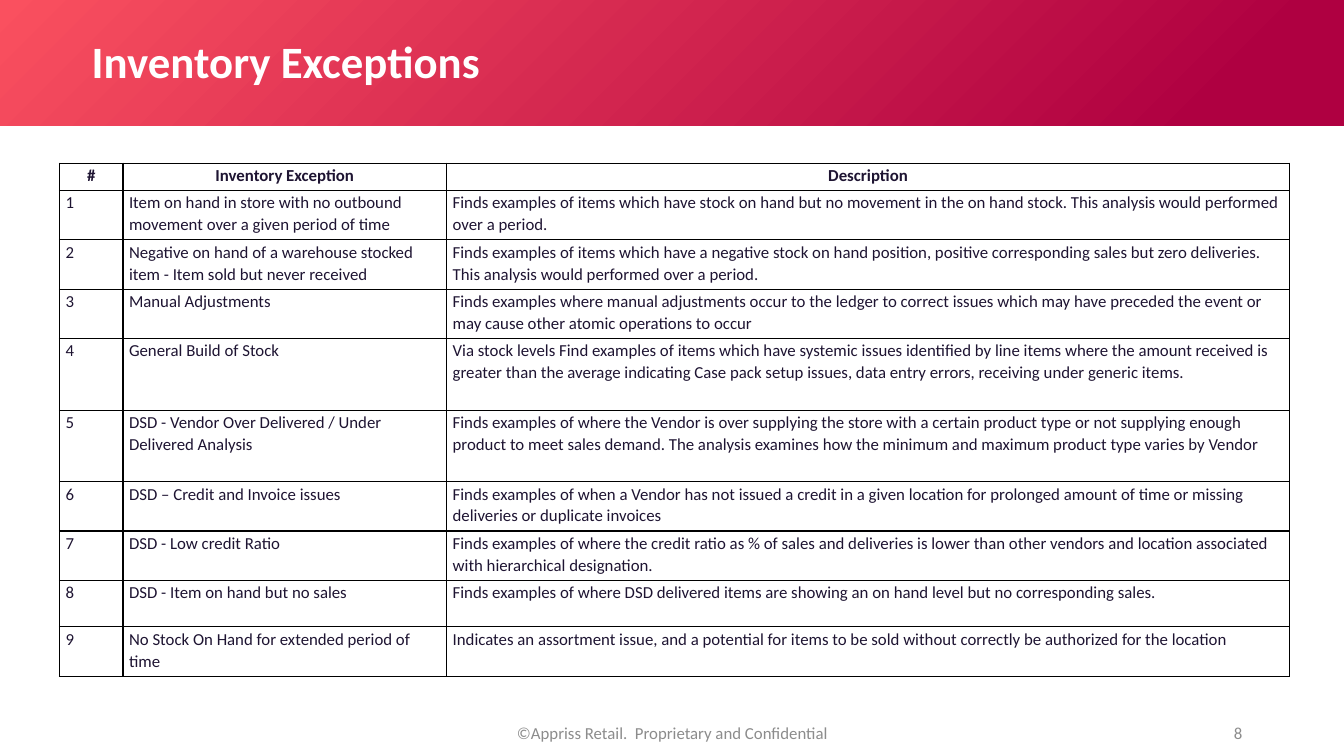
from typing import NamedTuple

import pptx
import pptx.dml.color
import pptx.enum.text
import pptx.oxml
import pptx.oxml.ns
import pptx.util

Inches = pptx.util.Inches
Align = pptx.enum.text.PP_ALIGN
Anchor = pptx.enum.text.MSO_ANCHOR

COLORS = {
    "crimson": "AF0041",
    "coral": "FA505F",
    "white": "FFFFFF",
    "ink": "1E1432",
    "gray": "8C8C8C",
    "border": "000000",
}
FONT = "Calibri"


class InventoryException(NamedTuple):
    name: str
    description: str
    height: float


class FooterItem(NamedTuple):
    text: str
    left: float
    width: float
    align: Align


EXCEPTIONS = [
    InventoryException(
        "Item on hand in store with no outbound movement over a given period of time",
        "Finds examples of items which have stock on hand but no movement in the on hand stock. "
        "This analysis would performed over a period.", 0.49),
    InventoryException(
        "Negative on hand of a warehouse stocked item - Item sold but never received",
        "Finds examples of items which have a negative stock on hand position, positive "
        "corresponding sales but zero deliveries. This analysis would performed over a period.", 0.49),
    InventoryException(
        "Manual Adjustments",
        "Finds examples where manual adjustments occur to the ledger to correct issues which may "
        "have preceded the event or may cause other atomic operations to occur", 0.49),
    InventoryException(
        "General Build of Stock",
        "Via stock levels Find examples of items which have systemic issues identified by line "
        "items where the amount received is greater than the average indicating Case pack setup "
        "issues, data entry errors, receiving under generic items.", 0.71),
    InventoryException(
        "DSD - Vendor Over Delivered / Under Delivered Analysis",
        "Finds examples of where the Vendor is over supplying the store with a certain product "
        "type or not supplying enough product to meet sales demand. The analysis examines how the "
        "minimum and maximum product type varies by Vendor", 0.71),
    InventoryException(
        "DSD – Credit and Invoice issues",
        "Finds examples of when a Vendor has not issued a credit in a given location for prolonged "
        "amount of time or missing deliveries or duplicate invoices", 0.49),
    InventoryException(
        "DSD - Low credit Ratio",
        "Finds examples of where the credit ratio as % of sales and deliveries is lower than other "
        "vendors and location associated with hierarchical designation.", 0.49),
    InventoryException(
        "DSD - Item on hand but no sales",
        "Finds examples of where DSD delivered items are showing an on hand level but no "
        "corresponding sales.", 0.46),
    InventoryException(
        "No Stock On Hand for extended period of time",
        "Indicates an assortment issue, and a potential for items to be sold without correctly be "
        "authorized for the location", 0.49),
]
HEADERS = ("#", "Inventory Exception", "Description")
COLUMN_WIDTHS = (0.63, 3.21, 8.36)
HEADER_HEIGHT = 0.27

FOOTER = [
    FooterItem("8", 9.42, 3, Align.RIGHT),
    FooterItem("©Appriss Retail.  Proprietary and Confidential", 4.42, 4.5, Align.CENTER),
]


def rgb(name: str) -> pptx.dml.color.RGBColor:
    return pptx.dml.color.RGBColor.from_string(COLORS[name])


def write_text(frame, text: str, *, size: float = 12, color: str = "ink", bold: bool = False,
               align: Align = Align.LEFT, line_spacing: float = 1.0) -> None:
    frame.word_wrap = True
    para = frame.paragraphs[0]
    para.alignment = align
    para.line_spacing = line_spacing
    span = para.add_run()
    span.text = text
    span.font.name = FONT
    span.font.size = pptx.util.Pt(size)
    span.font.bold = bold
    span.font.color.rgb = rgb(color)


def add_band(page) -> None:
    band = page.shapes.add_shape(
        pptx.enum.shapes.MSO_SHAPE.RECTANGLE, 0, 0, Inches(13.33), Inches(1.25))
    band.shadow.inherit = False
    band.line.fill.background()
    band.fill.gradient()
    band.fill.gradient_angle = 135
    stops = ((0.1, "crimson"), (1.0, "coral"))
    for stop, (position, color) in zip(band.fill.gradient_stops, stops):
        stop.position = position
        stop.color.rgb = rgb(color)
    # Send the band behind the title
    page.shapes._spTree.insert(2, band._element)


def add_title(page, text: str) -> None:
    title = page.shapes.title
    title.left, title.top = Inches(0.91), Inches(0.39)
    title.width, title.height = Inches(8.74), Inches(0.48)
    frame = title.text_frame
    frame.margin_left = frame.margin_right = frame.margin_top = frame.margin_bottom = 0
    frame.vertical_anchor = Anchor.MIDDLE
    write_text(frame, text, size=32, color="white", bold=True, line_spacing=0.9)


def add_borders(cell) -> None:
    properties = cell._tc.get_or_add_tcPr()
    for side in ("lnL", "lnR", "lnT", "lnB"):
        properties.append(pptx.oxml.parse_xml(
            f'<a:{side} {pptx.oxml.ns.nsdecls("a")} w="12700"><a:solidFill>'
            f'<a:srgbClr val="{COLORS["border"]}"/></a:solidFill></a:{side}>'))


def format_cell(cell, text: str, *, header: bool) -> None:
    add_borders(cell)
    cell.fill.background()
    cell.margin_left = cell.margin_right = Inches(0.06)
    cell.margin_top, cell.margin_bottom = Inches(0.01), 0
    cell.vertical_anchor = Anchor.TOP
    write_text(cell.text_frame, text, bold=header, line_spacing=1.07,
               align=Align.CENTER if header else Align.LEFT)


def add_exception_table(page) -> None:
    rows = [HEADERS] + [(str(number), item.name, item.description)
                        for number, item in enumerate(EXCEPTIONS, 1)]
    heights = [HEADER_HEIGHT] + [item.height for item in EXCEPTIONS]
    table = page.shapes.add_table(
        len(rows), len(HEADERS), Inches(0.59), Inches(1.62),
        Inches(sum(COLUMN_WIDTHS)), Inches(sum(heights))).table
    table.first_row = table.horz_banding = False
    for column, width in zip(table.columns, COLUMN_WIDTHS):
        column.width = Inches(width)
    for row_index, (row, height) in enumerate(zip(rows, heights)):
        table.rows[row_index].height = Inches(height)
        for column_index, text in enumerate(row):
            format_cell(table.cell(row_index, column_index), text, header=row_index == 0)


def add_footer_item(page, item: FooterItem) -> None:
    box = page.shapes.add_textbox(Inches(item.left), Inches(7.07), Inches(item.width), Inches(0.4))
    box.text_frame.vertical_anchor = Anchor.MIDDLE
    write_text(box.text_frame, item.text, color="gray", align=item.align)
    box.text_frame.paragraphs[0].space_after = pptx.util.Pt(6)


def main() -> None:
    deck = pptx.Presentation()
    deck.slide_width, deck.slide_height = Inches(13.33), Inches(7.5)
    page = deck.slides.add_slide(deck.slide_layouts[5])

    # Heading
    add_band(page)
    add_title(page, "Inventory Exceptions")

    # Footer
    for item in FOOTER:
        add_footer_item(page, item)

    # Exceptions
    add_exception_table(page)

    deck.save("out.pptx")


if __name__ == "__main__":
    main()
